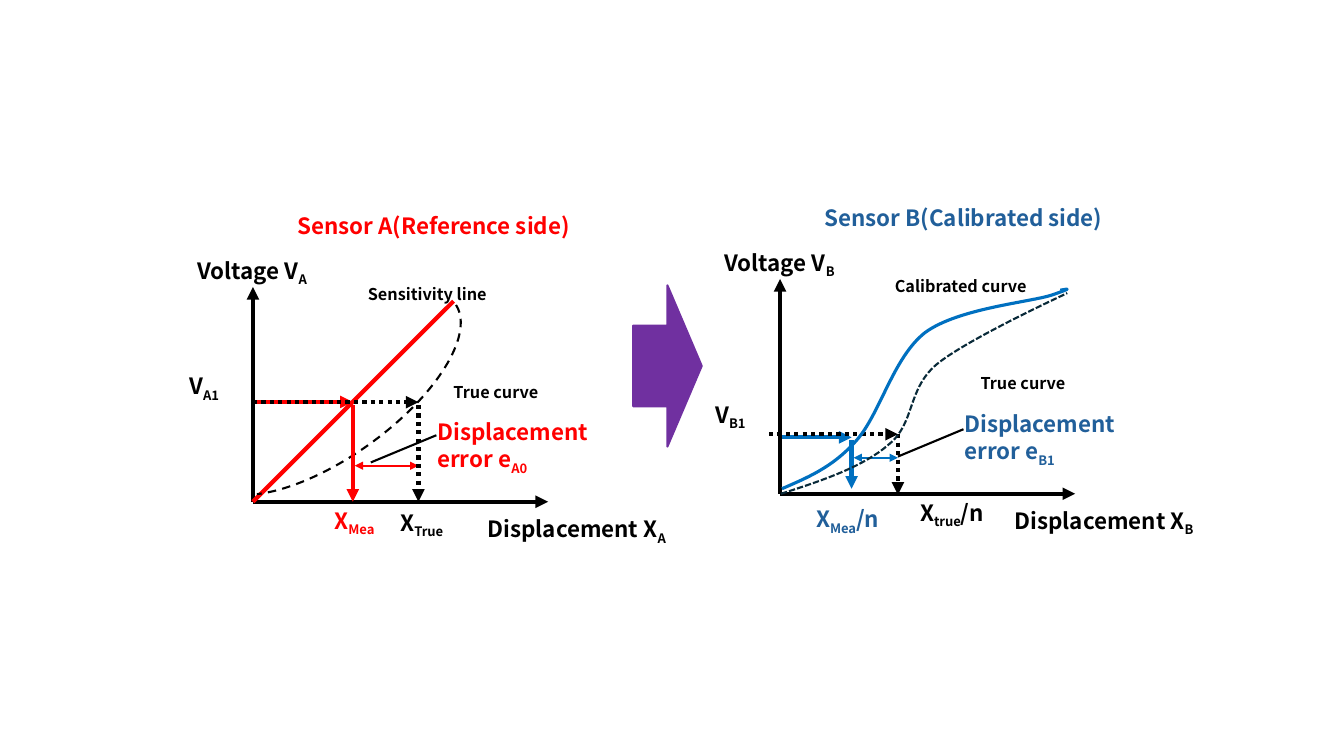
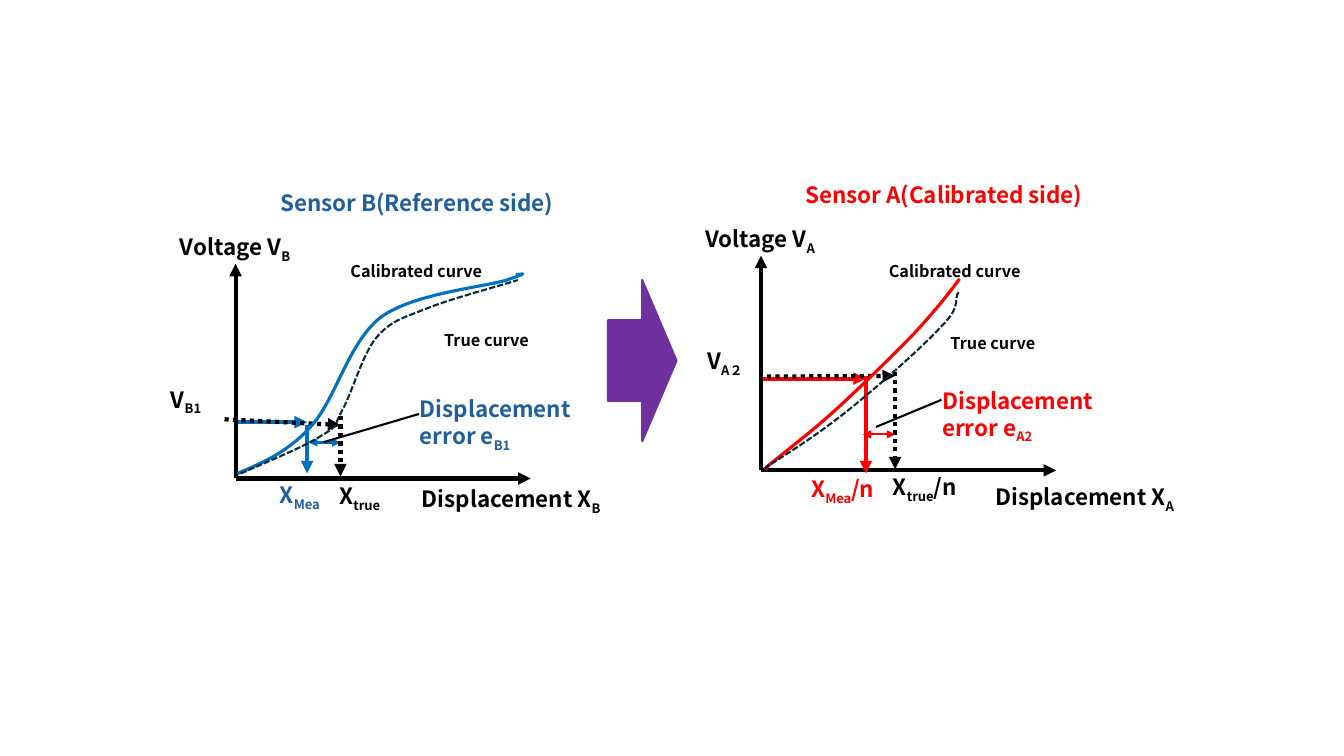
from dataclasses import dataclass

from lxml.etree import SubElement
from pptx import Presentation
from pptx.dml.color import RGBColor
from pptx.enum.dml import MSO_LINE as Dash
from pptx.enum.shapes import MSO_CONNECTOR as Connector, MSO_SHAPE as Preset
from pptx.enum.text import MSO_AUTO_SIZE as AutoSize
from pptx.oxml.ns import qn
from pptx.util import Pt


@dataclass(frozen=True)
class Theme:
    font: str = "Noto Sans CJK JP"
    black: str = "000000"
    red: str = "FF0000"
    blue_text: str = "215F9A"
    blue_line: str = "0070C0"
    navy: str = "092A39"
    purple: str = "7030A0"
    text: int = 16
    note: int = 20
    thin: float = 1.5
    medium: float = 2.25
    thick: float = 3


THEME = Theme()
AXIS_X, AXIS_Y = 210.8, 153.4
ARROW_SIZE = (49, 115.2)

# Curves: a start point, then three Bézier points per segment, from the origin
CALIBRATED_B = [
    (1.4, -3.6), (19.4, -11.5), (37.4, -18.7), (54, -37.4),
    (71.3, -56.2), (80.6, -97.2), (103.7, -115.2),
    (127.4, -132.5), (178.6, -136.8), (194.4, -142),
    (210.2, -147.6), (205.2, -146.2), (200.2, -145.4)]
TRUE_B_CALIBRATED = [
    (0.7, 0), (30.2, -9.4), (59.8, -19.4), (77.8, -35.3),
    (96.5, -50.4), (90.7, -74.2), (111.6, -92.2),
    (133.2, -110.2), (205.2, -143.3), (205.2, -143.3)]
TRUE_B_REFERENCE = [
    (3.6, -3.6), (26.6, -13.7), (49.7, -23), (61.9, -31),
    (74.2, -38.2), (69.8, -37.4), (76.3, -49),
    (82.8, -60.5), (90.7, -88.6), (100.1, -100.1),
    (110.2, -112.3), (118.8, -114.5), (135.4, -121),
    (152.6, -128.2), (190.8, -138.2), (201.6, -141.8)]
CALIBRATED_A = [
    (2.9, -0.7), (3.6, -1.4), (2.2, -1.4), (10.8, -7.9),
    (19.4, -15.1), (36.7, -28.1), (53.3, -43.2),
    (69.8, -58.3), (95.8, -83.5), (110.9, -99.4),
    (125.3, -115.2), (133.9, -126), (141.8, -136.8)]
TRUE_A = [
    (2.2, -1.4), (21.6, -13.7), (41, -25.9), (62.6, -43.2),
    (84.2, -60.5), (116.6, -89.3), (129.6, -103.7),
    (143.3, -117.4), (137.5, -122.4), (141.1, -127.4)]


def bezier_points(nodes, steps=24):
    """Points along a chain of cubic Bézier segments, to find its extent."""
    points = [nodes[0]]
    for i in range(0, len(nodes) - 1, 3):
        segment = nodes[i:i + 4]
        for step in range(1, steps + 1):
            t = step / steps
            weights = ((1 - t) ** 3, 3 * t * (1 - t) ** 2, 3 * t * t * (1 - t), t ** 3)
            points.append(tuple(sum(w * node[axis] for w, node in zip(weights, segment))
                                for axis in (0, 1)))
    return points


def style_line(line, color, width, dash=None):
    line.color.rgb = RGBColor.from_string(color)
    line.width = Pt(width)
    if dash:
        line.dash_style = dash


class Chart:
    """Draws on a page, with places measured in points from the axes' origin."""

    def __init__(self, page, origin):
        self.shapes = page.shapes
        self.origin = origin

    def place(self, x, y):
        return Pt(self.origin[0] + x), Pt(self.origin[1] + y)

    def line(self, start, end, color, width, dash=None, heads=()):
        link = self.shapes.add_connector(
            Connector.STRAIGHT, *self.place(*start), *self.place(*end))
        style_line(link.line, color, width, dash)
        properties = link._element.spPr
        for head in heads:
            SubElement(properties.find(qn("a:ln")), qn("a:" + head), type="triangle")
        SubElement(properties, qn("a:effectLst"))

    def arrow(self, start, end, color, dash=None):
        self.line(start, end, color, THEME.thick, dash, ["tailEnd"])

    def curve(self, nodes, color, width, dash=None):
        first, *rest = [self.place(*point) for point in bezier_points(nodes)]
        builder = self.shapes.build_freeform(*first)
        builder.add_line_segments(rest, close=False)
        shape = builder.convert_to_shape()
        # Smooth segments take the place of the straight ones
        outline = next(shape._element.iter(qn("a:path")))
        for segment in list(outline):
            outline.remove(segment)
        commands = [("a:moveTo", nodes[:1])]
        commands += [("a:cubicBezTo", nodes[i:i + 3]) for i in range(1, len(nodes), 3)]
        for command, points in commands:
            segment = SubElement(outline, qn(command))
            for point in points:
                x, y = self.place(*point)
                SubElement(segment, qn("a:pt"), x=str(x - shape.left), y=str(y - shape.top))
        self.outline(shape, color, width, dash)

    def arc(self, at, size, rotation, angles):
        shape = self.shapes.add_shape(Preset.ARC, *self.place(*at), *map(Pt, size))
        shape.rotation = rotation
        for i, angle in enumerate(angles):
            shape.adjustments[i] = angle
        self.outline(shape, THEME.black, THEME.thin, Dash.DASH)

    def outline(self, shape, color, width, dash):
        shape.shadow.inherit = False
        shape.fill.background()
        style_line(shape.line, color, width, dash)

    def label(self, text, at, size, color=THEME.black, points=THEME.text):
        """Text box; the parts between bars are subscripts."""
        box = self.shapes.add_textbox(*self.place(*at), *map(Pt, size))
        frame = box.text_frame
        frame.word_wrap = True
        frame.auto_size = AutoSize.SHAPE_TO_FIT_TEXT
        para = frame.paragraphs[0]
        for i, part in enumerate(text.split("|")):
            if not part:
                continue
            span = para.add_run()
            span.text = part
            span.font.size = Pt(points)
            span.font.bold = True
            span.font.name = THEME.font
            span.font.color.rgb = RGBColor.from_string(color)
            properties = span._r.get_or_add_rPr()
            SubElement(properties, qn("a:ea"), typeface=THEME.font)
            if i % 2:
                properties.set("baseline", "-25000")

    def note(self, text, at, width):
        self.label(f"|{text}|", at, (width, 23.8), points=THEME.note)


def draw_panel(page, p):
    """Axes, readings and labels of one sensor."""
    chart = Chart(page, p["origin"])
    red = p["sensor"] == "A"
    line_color = THEME.red if red else THEME.blue_line
    text_color = THEME.red if red else THEME.blue_text
    measured, true = p["measured_x"], p["true_x"]

    # Measured reading, error span and axes
    chart.arrow((p["level_start"], p["level"]), (measured, p["level"]), line_color)
    chart.line((measured + p["span_shift"], -25.7), (true, -25.7), line_color, THEME.thin,
               heads=("headEnd", "tailEnd"))
    chart.arrow((0, 0), (0, -AXIS_Y), THEME.black)
    chart.arrow((0, 0), (AXIS_X, 0), THEME.black)
    if "sensitivity" in p:
        chart.line((0, 0), p["sensitivity"], line_color, THEME.thick)
        chart.arc((10.8, -186.5), (91.4, 216.7), 54.3, (162.32, 43.27))
    chart.arrow((measured, p["drop"][0]), (measured, p["drop"][1]), line_color)

    # True reading
    chart.arrow((true, p["true_drop"][0]), (true, p["true_drop"][1]),
                THEME.black, Dash.ROUND_DOT)
    chart.arrow(*p["true_level"], THEME.black, Dash.ROUND_DOT)
    chart.line(*p["leader"], THEME.black, THEME.thin)

    # Labels
    chart.label(f"Sensor {p['sensor']}({p['role']} side)", (24.7, -210.2), (222.5, 26.6),
                text_color)
    chart.label(f"Voltage V|{p['sensor']}|", (-46.8, -178.6), (108, 26.6))
    chart.label(f"Displacement X|{p['sensor']}|", p["x_title_at"], (153.4, 26.6))
    chart.label(f"Displacement error e|{p['error']}|", (p["error_x"], -63), (135.4, 46.1),
                text_color)
    chart.label(f"V|{p['voltage']}|", p["voltage_at"], (p["voltage_width"], 26.6))
    chart.label(p["measured"], p["measured_at"], (p["measured_width"], 26.6), text_color)
    chart.label(p["true"], p["true_at"], (p["true_width"], 26.6))
    chart.note(p["curve_name"], p["curve_name_at"], p["curve_name_width"])
    chart.note("True curve", p["true_name_at"], 85.7)

    # Curves
    if "curve" in p:
        chart.curve(p["curve"], line_color, THEME.medium)
        chart.curve(p["true_curve"], THEME.navy, THEME.thin, Dash.SQUARE_DOT)


def draw_step_arrow(page, left, top):
    shape = page.shapes.add_shape(Preset.RIGHT_ARROW, Pt(left), Pt(top), *map(Pt, ARROW_SIZE))
    shape.shadow.inherit = False
    shape.fill.solid()
    shape.fill.fore_color.rgb = RGBColor.from_string(THEME.purple)
    style_line(shape.line, THEME.purple, THEME.thin)


# Each sensor's readings and label places, from its own origin
REFERENCE_A = dict(
    sensor="A", role="Reference", origin=(180.7, 358.4), sensitivity=(143.3, -143.3),
    measured_x=71.3, true_x=118.2, span_shift=1.4, level_start=0, level=-71.3,
    drop=(-69.1, 0), true_drop=(-69.1, 0), true_level=((0, -71.1), (118.2, -71.1)),
    leader=((131, -47.5), (84.2, -28.1)), error="A0", error_x=124.6,
    voltage="A1", voltage_at=(-52.6, -95.8), voltage_width=43.2,
    measured="X|Mea|", measured_at=(51.1, 0), measured_width=59,
    true="X|True|", true_at=(98.2, 1.4), true_width=53.3,
    curve_name="Sensitivity line", curve_name_at=(74.9, -172.1), curve_name_width=115.9,
    true_name_at=(136.1, -102.6), x_title_at=(160.6, 6.3))
CALIBRATED_SIDE_B = dict(
    sensor="B", role="Calibrated", origin=(557.2, 352.7),
    curve=CALIBRATED_B, true_curve=TRUE_B_CALIBRATED,
    measured_x=51.1, true_x=84.2, span_shift=1.4, level_start=-1.4, level=-40.3,
    drop=(-38.2, -3.6), true_drop=(-42.5, 0.7), true_level=((-7.9, -42.5), (84.2, -42.5)),
    leader=((131, -46.1), (84.2, -26.6)), error="B1", error_x=124.6,
    voltage="B1", voltage_at=(-53.3, -69.8), voltage_width=43.2,
    measured="X|Mea|/n", measured_at=(18.7, 4.8), measured_width=76.3,
    true="X|true|/n", true_at=(92.9, 0), true_width=76.3,
    curve_name="Calibrated curve", curve_name_at=(74.9, -172.4), curve_name_width=165.6,
    true_name_at=(136.1, -103), x_title_at=(160.6, 5.8))
REFERENCE_B = CALIBRATED_SIDE_B | dict(
    role="Reference", origin=(168.3, 341.8), true_curve=TRUE_B_REFERENCE,
    true_x=74.9, true_drop=(-44.6, -1.4), true_level=((-7.9, -42.3), (74.9, -38.2)),
    leader=((131, -46.1), (62.6, -25.9)),
    measured="X|Mea|", measured_at=(24.5, -1.4), true="X|true|", true_at=(67, -0.7),
    curve_name_width=144, true_name_at=(141.8, -123.1), x_title_at=(126, 1.2))
CALIBRATED_SIDE_A = dict(
    sensor="A", role="Calibrated", origin=(543.6, 336),
    curve=CALIBRATED_A, true_curve=TRUE_A,
    measured_x=74.9, true_x=95.8, span_shift=-2.2, level_start=0, level=-65.5,
    drop=(-67.7, 2.2), true_drop=(-70.6, -0.7), true_level=((4.3, -67), (95.8, -67.5)),
    leader=((128.9, -50.4), (82.1, -31)), error="A2", error_x=122.4,
    voltage="A２", voltage_at=(-45.4, -91.4), voltage_width=46,
    measured="X|Mea|/n", measured_at=(28.8, 0), measured_width=80.6,
    true="X|true|/n", true_at=(87.1, -1.4), true_width=73.4,
    curve_name="Calibrated curve", curve_name_at=(84.2, -166.3), curve_name_width=199.4,
    true_name_at=(128.2, -115.2), x_title_at=(160.6, 5.8))


def main():
    deck = Presentation()
    deck.slide_width, deck.slide_height = Pt(960), Pt(540)
    steps = [
        ((REFERENCE_A, CALIBRATED_SIDE_B), (452.2, 203.8)),
        ((CALIBRATED_SIDE_A, REFERENCE_B), (434.2, 200)),
    ]
    for panels, arrow_at in steps:
        page = deck.slides.add_slide(deck.slide_layouts[6])
        for panel in panels:
            draw_panel(page, panel)
        draw_step_arrow(page, *arrow_at)
    deck.save("out.pptx")


if __name__ == "__main__":
    main()
